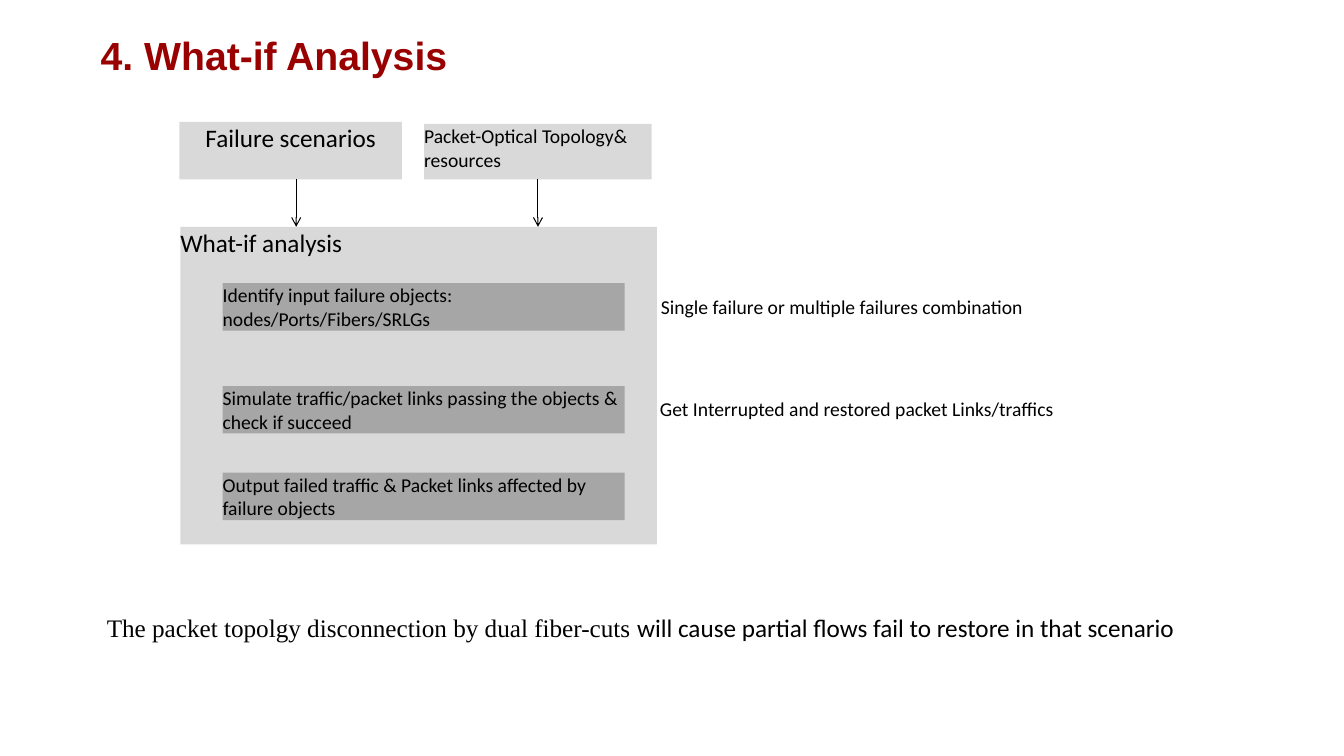
from lxml import etree
from pptx import Presentation
from pptx.dml.color import RGBColor
from pptx.enum.shapes import MSO_CONNECTOR, MSO_SHAPE
from pptx.enum.text import MSO_ANCHOR, PP_ALIGN
from pptx.oxml.ns import qn
from pptx.util import Inches, Pt

RED = RGBColor(0x99, 0x00, 0x00)
BLACK = RGBColor(0x00, 0x00, 0x00)
LIGHT = RGBColor(0xD9, 0xD9, 0xD9)
GRAY = RGBColor(0xA6, 0xA6, 0xA6)

# Content
TITLE = "4. What-if Analysis"
ANALYSIS = ("What-if analysis", 1.79, 2.25, 4.73, 3.15)
FAILURES = ("Failure scenarios", 1.78, 1.21, 2.21, 0.57)
TOPOLOGY = ("Packet-Optical Topology& resources", 4.21, 1.23, 2.26, 0.55)
STEPS = [
    ("Identify input failure objects: nodes/Ports/Fibers/SRLGs", 2.81),
    ("Simulate traffic/packet links passing the objects & check if succeed", 3.83),
    ("Output failed traffic & Packet links affected by failure objects", 4.69),
]
NOTES = [
    ("Single failure or multiple failures combination", 6.56, 2.93, 3.68, 0.29),
    ("Get Interrupted and restored packet Links/traffics", 6.55, 3.94, 3.95, 0.27),
]
CONCLUSION = [
    ("The packet topolgy disconnection by dual fiber-cuts ", "Times New Roman"),
    ("will cause partial flows fail to restore in that scenario", "Calibri"),
]
STEP_LEFT, STEP_WIDTH, STEP_HEIGHT = 2.21, 3.99, 0.47
# Arrows as x, top, bottom; two of them are mere points
FAILURE_ARROW = (2.94, 1.78, 2.25)
TOPOLOGY_ARROW = (5.34, 1.78, 2.25)
POINT_ARROWS = [(1.79, 3.83, 3.83), (2.57, 2.29, 2.29)]

deck = Presentation()
deck.slide_width, deck.slide_height = Inches(13.34), Inches(7.5)
page = deck.slides.add_slide(deck.slide_layouts[5])


def write(para, text, size, font="Calibri", color=BLACK, bold=False):
    span = para.add_run()
    span.text = text
    span.font.size, span.font.name = Pt(size), font
    span.font.color.rgb, span.font.bold = color, bold


def prepare(box, align=PP_ALIGN.LEFT):
    frame = box.text_frame
    frame.word_wrap = True
    frame.vertical_anchor = MSO_ANCHOR.TOP
    frame.margin_left = frame.margin_right = frame.margin_top = frame.margin_bottom = 0
    para = frame.paragraphs[0]
    para.alignment = align
    return para


def add_box(text, left, top, width, height, fill, size, align=PP_ALIGN.LEFT):
    box = page.shapes.add_shape(MSO_SHAPE.RECTANGLE, Inches(left), Inches(top),
                                Inches(width), Inches(height))
    box.shadow.inherit = False
    box.fill.solid()
    box.fill.fore_color.rgb = fill
    box.line.fill.background()
    write(prepare(box, align), text, size)
    return box


def add_text(spans, left, top, width, height, size):
    box = page.shapes.add_textbox(Inches(left), Inches(top), Inches(width), Inches(height))
    para = prepare(box)
    for text, font in spans:
        write(para, text, size, font)


def add_arrow(x, top, bottom):
    arrow = page.shapes.add_connector(MSO_CONNECTOR.STRAIGHT, Inches(x), Inches(top),
                                      Inches(x), Inches(bottom))
    arrow.line.color.rgb = BLACK
    arrow.line.width = Pt(0.75)
    etree.SubElement(arrow.line._get_or_add_ln(), qn("a:tailEnd"), type="arrow")
    etree.SubElement(arrow._element.spPr, qn("a:effectLst"))
    return arrow


# Title
title = page.shapes.title
title.left, title.top, title.width, title.height = (Inches(n) for n in (0.9, 0.23, 7.98, 0.63))
title.text_frame.vertical_anchor = MSO_ANCHOR.MIDDLE
title_para = title.text_frame.paragraphs[0]
title_para.alignment = PP_ALIGN.LEFT
write(title_para, TITLE, 28, "Arial", RED, True)

# Analysis panel with its steps
add_box(*ANALYSIS, LIGHT, 18)
for text, top in STEPS:
    add_box(text, STEP_LEFT, top, STEP_WIDTH, STEP_HEIGHT, GRAY, 14)

# Inputs and arrows
add_box(*FAILURES, LIGHT, 18, PP_ALIGN.CENTER)
topology = add_box(*TOPOLOGY, LIGHT, 14)
add_arrow(*TOPOLOGY_ARROW).begin_connect(topology, 2)
for arrow_place in [FAILURE_ARROW] + POINT_ARROWS:
    add_arrow(*arrow_place)

# Side notes and conclusion
for text, *place in NOTES:
    add_text([(text, "Calibri")], *place, 14)
add_text(CONCLUSION, 1.06, 6.07, 10.82, 0.36, 18)

deck.save("out.pptx")
